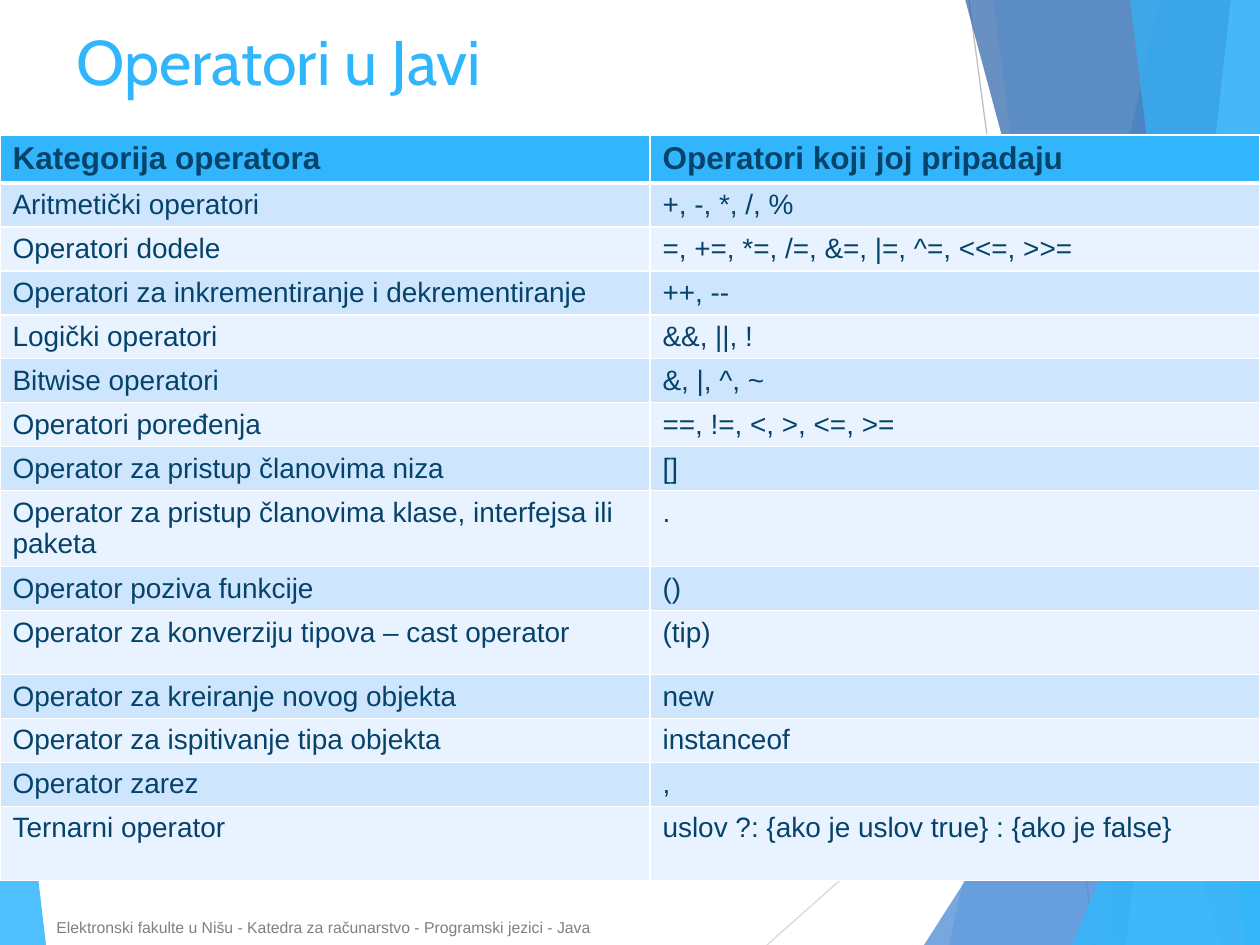
from lxml.etree import SubElement
from pptx import Presentation
from pptx.dml.color import RGBColor
from pptx.enum.shapes import MSO_CONNECTOR as CONNECTOR, MSO_SHAPE as SHAPE
from pptx.enum.text import MSO_ANCHOR as ANCHOR, PP_ALIGN as ALIGN
from pptx.oxml.ns import qn
from pptx.util import Emu, Pt

EMU_PER_PX = 914400 / 126
WIDTH, HEIGHT = 1260, 945
BLUE, NAVY, WHITE = "31B6FD", "06436B", "FFFFFF"
BANDS = ("E8F3FF", "CEE5FE")

RAYS = [((969, 0), (1095, 945), "BFBFBF"), ((1260, 508), (767, 945), "D9D9D9")]
WEDGES_BEHIND = [(1160, 949, BLUE, 30), (993, 1118, BLUE, 20)]
WEDGES_FRONT = [
    (965, 1220, "2862AA", 70),
    (1231, 1126, "83D3FE", 70),
    (1130, 1245, BLUE, 65),
]
OPERATORS = [
    ("Kategorija operatora", "Operatori koji joj pripadaju"),
    ("Aritmetički operatori", "+, -, *, /, %"),
    ("Operatori dodele", "=, +=, *=, /=, &=, |=, ^=, <<=, >>="),
    ("Operatori za inkrementiranje i dekrementiranje", "++, --"),
    ("Logički operatori", "&&, ||, !"),
    ("Bitwise operatori", "&, |, ^, ~"),
    ("Operatori poređenja", "==, !=, <, >, <=, >="),
    ("Operator za pristup članovima niza", "[]"),
    ("Operator za pristup članovima klase, interfejsa ili paketa", "."),
    ("Operator poziva funkcije", "()"),
    ("Operator za konverziju tipova – cast operator", "(tip)"),
    ("Operator za kreiranje novog objekta", "new"),
    ("Operator za ispitivanje tipa objekta", "instanceof"),
    ("Operator zarez", ","),
    ("Ternarni operator", "uslov ?: {ako je uslov true} : {ako je false}"),
]
COLUMN_WIDTHS = (650, 610)
ROW_HEIGHT = 44
SPECIAL_HEIGHTS = {0: 48, 8: 76, 10: 64, 14: 74}


def px(*lengths):
    return [Emu(round(length * EMU_PER_PX)) for length in lengths]


def color(value):
    return RGBColor.from_string(value)


def write(frame, text, size, fill, font="Arial", bold=False, anchor=ANCHOR.TOP):
    frame.word_wrap = True
    frame.vertical_anchor = anchor
    paragraph = frame.paragraphs[0]
    paragraph.alignment = ALIGN.LEFT
    run = paragraph.add_run()
    run.text = text
    run.font.name = font
    run.font.size = Pt(size)
    run.font.bold = bold
    run.font.color.rgb = color(fill)


def paint(shape, fill, opacity):
    shape.shadow.inherit = False
    shape.line.fill.background()
    shape.fill.solid()
    shape.fill.fore_color.rgb = color(fill)
    tint = shape.fill._xPr.find(f".//{qn('a:srgbClr')}")
    SubElement(tint, qn("a:alpha"), val=str(opacity * 1000))


def add_ray(slide, start, end, stroke):
    ray = slide.shapes.add_connector(CONNECTOR.STRAIGHT, *px(*start, *end))
    ray.line.color.rgb = color(stroke)
    ray.line.width = Pt(0.75)
    SubElement(ray._element.spPr, qn("a:effectLst"))


def add_wedge(slide, top_x, bottom_x, fill, opacity):
    builder = slide.shapes.build_freeform(top_x, -1, scale=EMU_PER_PX)
    builder.add_line_segments([(WIDTH, -1), (WIDTH, HEIGHT), (bottom_x, HEIGHT)])
    paint(builder.convert_to_shape(), fill, opacity)


def add_triangle(slide, left, top, right, apex, fill, opacity):
    box = px(left, top, right - left, HEIGHT - top)
    triangle = slide.shapes.add_shape(SHAPE.ISOSCELES_TRIANGLE, *box)
    triangle.adjustments[0] = apex
    paint(triangle, fill, opacity)


def add_backdrop(slide):
    for ray in RAYS:
        add_ray(slide, *ray)
    for wedge in WEDGES_BEHIND:
        add_wedge(slide, *wedge)
    add_triangle(slide, 924, 420, WIDTH, 1, "4584D3", 72)
    for wedge in WEDGES_FRONT:
        add_wedge(slide, *wedge)
    add_triangle(slide, 1072, 495, WIDTH, 1, BLUE, 80)
    add_triangle(slide, 0, 553, 46, 0, BLUE, 85)


def set_title(slide, text):
    title = slide.shapes.title
    title.left, title.top, title.width, title.height = px(64, 16, 971, 194)
    write(title.text_frame, text, 36, BLUE, font="Cabin")


def set_borders(cell, top=1, bottom=1):
    properties = cell._tc.get_or_add_tcPr()
    for side, width in (("L", 1), ("R", 1), ("T", top), ("B", bottom)):
        line = SubElement(properties, qn(f"a:ln{side}"), w=str(Pt(width)))
        fill = SubElement(line, qn("a:solidFill"))
        SubElement(fill, qn("a:srgbClr"), val=WHITE)


def fill_cell(cell, text, row):
    header = row == 0
    set_borders(cell, top=3 if row == 1 else 1, bottom=3 if header else 1)
    cell.fill.solid()
    cell.fill.fore_color.rgb = color(BLUE if header else BANDS[row % 2])
    write(cell.text_frame, text, 18 if header else 16, NAVY, bold=header)


def add_operator_table(slide):
    heights = [SPECIAL_HEIGHTS.get(row, ROW_HEIGHT) for row in range(len(OPERATORS))]
    box = px(0, 135, WIDTH, sum(heights))
    table = slide.shapes.add_table(len(OPERATORS), len(COLUMN_WIDTHS), *box).table
    for column, width in zip(table.columns, px(*COLUMN_WIDTHS)):
        column.width = width
    for row, height in enumerate(px(*heights)):
        table.rows[row].height = height
        for column, text in enumerate(OPERATORS[row]):
            fill_cell(table.cell(row, column), text, row)


def add_footer(slide, text):
    footer = slide.shapes.add_textbox(*px(44, 915, 888, 24))
    write(footer.text_frame, text, 9, "808080", anchor=ANCHOR.MIDDLE)


def main():
    presentation = Presentation()
    presentation.slide_width, presentation.slide_height = px(WIDTH, HEIGHT)
    slide = presentation.slides.add_slide(presentation.slide_layouts[5])
    add_backdrop(slide)
    set_title(slide, "Operatori u Javi")
    add_operator_table(slide)
    add_footer(
        slide,
        "Elektronski fakulte u Nišu - Katedra za računarstvo - Programski jezici - Java",
    )
    presentation.save("out.pptx")


if __name__ == "__main__":
    main()
